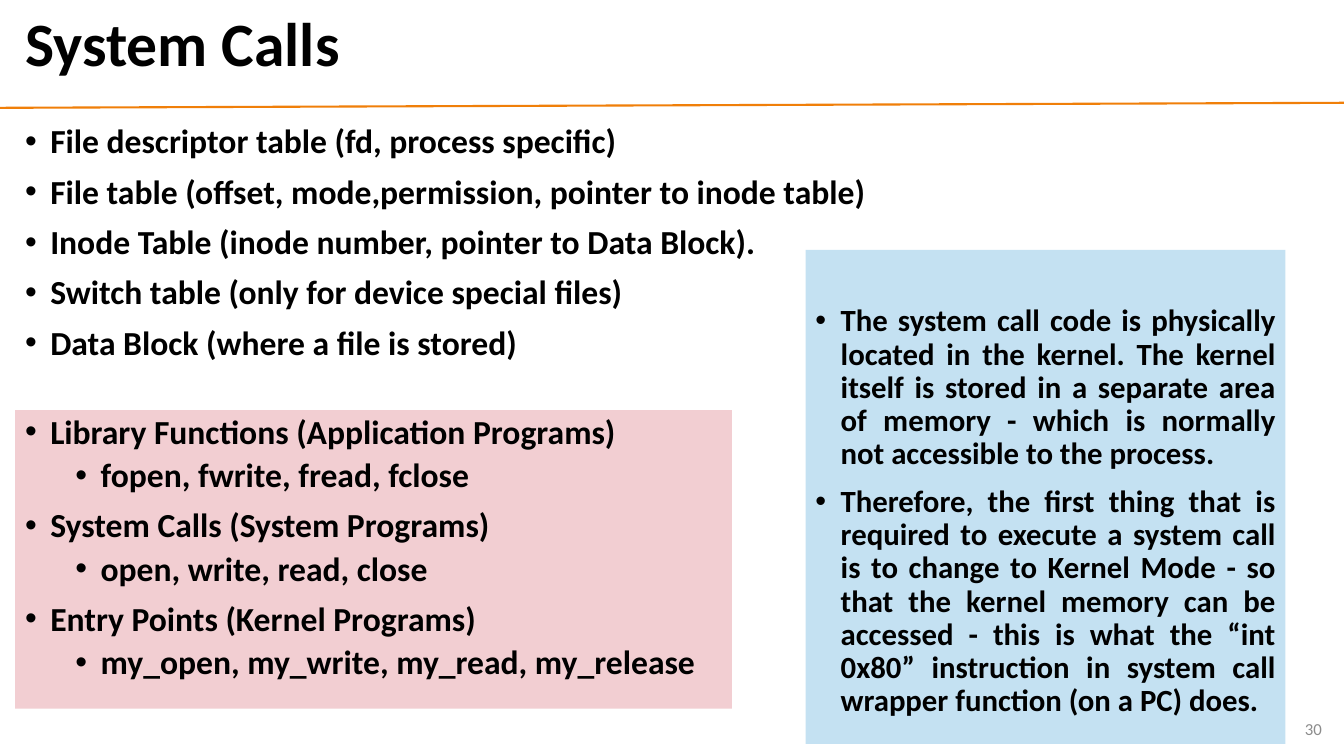
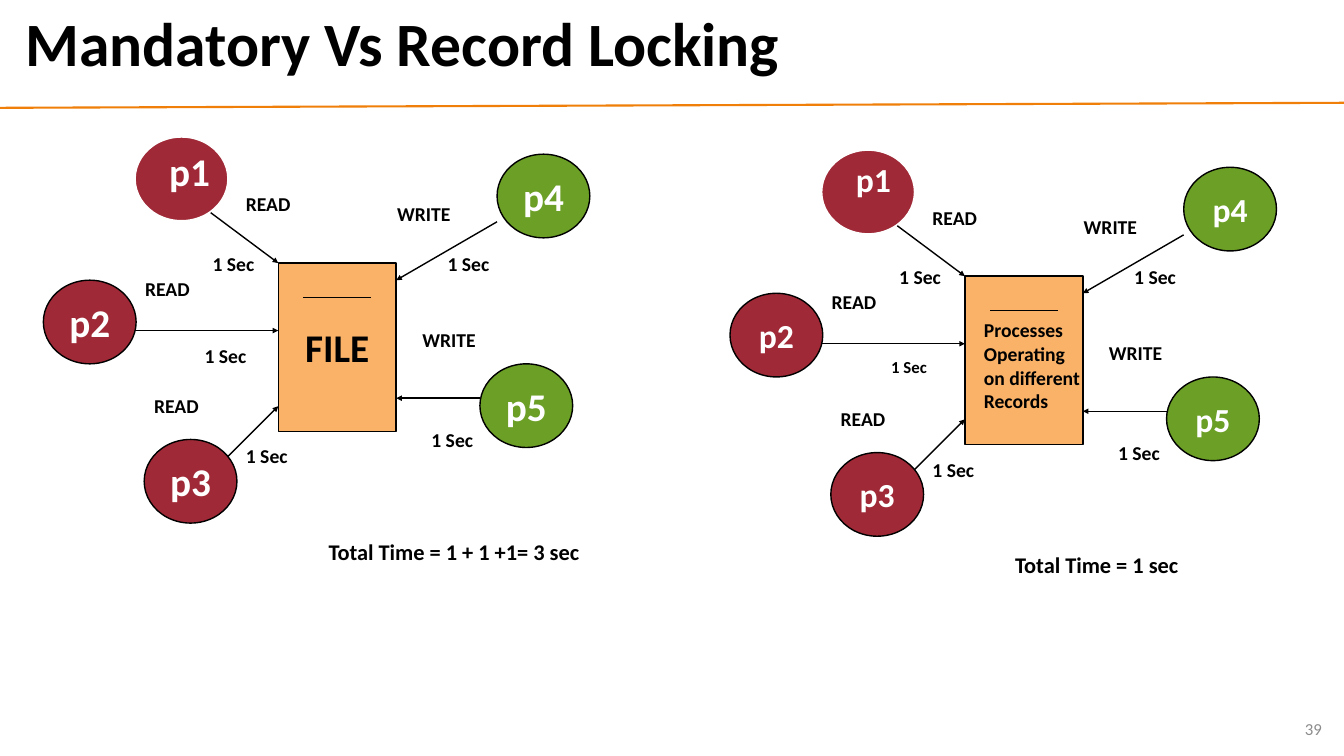
import pptx
import pptx.util
import pptx.dml.color
import pptx.enum.shapes
import pptx.enum.text
import pptx.oxml.ns
from lxml import etree

Inches, Pt = pptx.util.Inches, pptx.util.Pt
ALIGN = pptx.enum.text.PP_ALIGN
ANCHOR = pptx.enum.text.MSO_ANCHOR
SHAPE = pptx.enum.shapes.MSO_SHAPE

FONT = "Calibri"
BLACK, WHITE, GREY, ORANGE = "000000", "FFFFFF", "8C8C8C", "F07F09"
PINK, BLUE, FILE_FILL = "F2CED2", "C4E1F2", "F9B268"
READER, WRITER = "9F2936", "6B9F25"

# Bullets: (level, text)
TABLES = [
    (0, "File descriptor table (fd, process specific)"),
    (0, "File table (offset, mode,permission, pointer to inode table)"),
    (0, "Inode Table (inode number, pointer to Data Block)."),
    (0, "Switch table (only for device special files)"),
    (0, "Data Block (where a file is stored)"),
]
LAYERS = [
    (0, "Library Functions (Application Programs)"),
    (1, "fopen, fwrite, fread, fclose"),
    (0, "System Calls (System Programs)"),
    (1, "open, write, read, close"),
    (0, "Entry Points (Kernel Programs)"),
    (1, "my_open, my_write, my_read, my_release"),
]
KERNEL_MODE = [
    (0, "The system call code is physically located in the kernel. The kernel "
        "itself is stored in a separate area of memory - which is normally not "
        "accessible to the process."),
    (0, "Therefore, the first thing that is required to execute a system call is "
        "to change to Kernel Mode - so that the kernel memory can be accessed - "
        "this is what the “int 0x80” instruction in system call wrapper function "
        "(on a PC) does."),
]

# Locking diagram, placed from the slide's corner and shifted per diagram
FILE_BOX = (2.76, 2.61, 1.17, 1.67)
CIRCLE_SIZE = (0.92, 0.83)
CIRCLES = [  # text, left, top, fill, outline
    ("", 1.34, 1.36, READER, WHITE),
    ("p2", 0.43, 2.78, READER, BLACK),
    ("p3", 1.43, 4.36, READER, BLACK),
    ("p4", 4.93, 1.53, WRITER, BLACK),
    ("p5", 4.76, 3.61, WRITER, BLACK),
]
ARROWS = [
    (2.09, 2.11, 2.76, 2.61),
    (1.34, 3.28, 2.76, 3.28),
    (2.26, 4.53, 2.76, 4.03),
    (4.93, 2.2, 3.93, 2.78),
    (4.76, 3.95, 3.93, 3.95),
]
FILE_RULE = (3.01, 2.95, 3.68, 2.95)
OPERATIONS = [
    ("READ", 1.34, 2.7),
    ("WRITE", 4.09, 3.2),
    ("READ", 1.43, 3.86),
    ("READ", 2.34, 1.86),
    ("WRITE", 3.84, 1.95),
]
DELAYS = [(2.01, 2.45), (2.34, 4.36), (4.18, 4.2), (4.34, 2.45)]
P2_DELAY = (1.93, 3.36)
DIAGRAMS = [
    {"shift": (0, 0), "process_size": 28, "p2_delay_size": 14,
     "p1_box": (1.58, 1.41, 0.61, 0.57), "p2_delay_box": (0.62, 0.34),
     "file": "FILE", "records": "",
     "total": "Total Time = 1 + 1 +1= 3 sec", "total_width": 2.72},
    {"shift": (6.81, 0.13), "process_size": 24, "p2_delay_size": 12,
     "p1_box": (1.58, 1.4, 0.55, 0.5), "p2_delay_box": (0.57, 0.3),
     "file": "", "records": "Processes\nOperating\non different\nRecords",
     "total": "Total Time = 1 sec", "total_width": 1.84},
]


def color(value):
    return pptx.dml.color.RGBColor.from_string(value)


def write(shape, text, size, fill=BLACK, bold=True, align=ALIGN.LEFT,
          anchor=ANCHOR.TOP, wrap=True):
    """Fill a shape with text in one style and return its text frame."""
    frame = shape.text_frame
    frame.text = text
    frame.word_wrap = wrap
    frame.vertical_anchor = anchor
    for paragraph in frame.paragraphs:
        paragraph.alignment = align
        for run in paragraph.runs:
            run.font.name = FONT
            run.font.size = Pt(size)
            run.font.bold = bold
            run.font.color.rgb = color(fill)
    return frame


def add_text(slide, box, text, size, **style):
    shape = slide.shapes.add_textbox(*map(Inches, box))
    write(shape, text, size, **style)
    return shape


def add_filled(slide, kind, box, fill, outline=None):
    shape = slide.shapes.add_shape(kind, *map(Inches, box))
    shape.shadow.inherit = False
    shape.fill.solid()
    shape.fill.fore_color.rgb = color(fill)
    if outline:
        shape.line.color.rgb = color(outline)
        shape.line.width = Pt(1)
    else:
        shape.line.fill.background()
    return shape


def add_line(slide, ends, fill=BLACK, width=1, arrow=False):
    line = slide.shapes.add_connector(
        pptx.enum.shapes.MSO_CONNECTOR.STRAIGHT, *map(Inches, ends))
    line.line.color.rgb = color(fill)
    line.line.width = Pt(width)
    qn = pptx.oxml.ns.qn
    properties = line._element.spPr
    if arrow:
        etree.SubElement(properties.find(qn("a:ln")), qn("a:tailEnd"),
                         type="triangle", w="sm", len="sm")
    etree.SubElement(properties, qn("a:effectLst"))


def write_bullets(shape, items, size, align=ALIGN.LEFT):
    frame = write(shape, "\n".join(text for _, text in items), size, align=align)
    qn = pptx.oxml.ns.qn
    for paragraph, (level, _) in zip(frame.paragraphs, items):
        paragraph.level = level
        paragraph.line_spacing = 0.9
        paragraph.space_before = Pt(5 if level else 10)
        properties = paragraph._p.get_or_add_pPr()
        properties.set("marL", str(Inches(0.25 + 0.5 * level)))
        properties.set("indent", str(Inches(-0.25)))
        etree.SubElement(properties, qn("a:buFont"), typeface="Arial")
        etree.SubElement(properties, qn("a:buChar"), char="•")
    return frame


def add_slide(presentation, title, number):
    """Add a slide with the shared title, rule and page number."""
    slide = presentation.slides.add_slide(presentation.slide_layouts[5])
    add_line(slide, (0, 1.07, 13.33, 1.02), ORANGE, 1.5)
    heading = slide.shapes.title
    heading.left, heading.top, heading.width, heading.height = map(
        Inches, (0.15, 0.05, 12.89, 0.83))
    frame = write(heading, title, 44, anchor=ANCHOR.MIDDLE)
    frame.auto_size = pptx.enum.text.MSO_AUTO_SIZE.NONE
    frame.paragraphs[0].line_spacing = 0.9
    add_text(slide, (10.21, 7.03, 3, 0.4), str(number), 12, fill=GREY,
             bold=False, align=ALIGN.RIGHT, anchor=ANCHOR.MIDDLE)
    return slide


def add_locking_diagram(slide, diagram):
    dx, dy = diagram["shift"]
    process_size = diagram["process_size"]
    centred = {"align": ALIGN.CENTER, "anchor": ANCHOR.MIDDLE, "wrap": False}

    def place(left, top, *size):
        return (left + dx, top + dy, *size)

    def shift_ends(x1, y1, x2, y2):
        return (x1 + dx, y1 + dy, x2 + dx, y2 + dy)

    file_shape = add_filled(slide, SHAPE.RECTANGLE, place(*FILE_BOX),
                            FILE_FILL, BLACK)
    if diagram["file"]:
        write(file_shape, diagram["file"], 28, **centred)
    for text, left, top, fill, outline in CIRCLES:
        circle = add_filled(slide, SHAPE.OVAL, place(left, top, *CIRCLE_SIZE),
                            fill, outline)
        if text:
            write(circle, text, process_size, fill=WHITE, **centred)
    for ends in ARROWS:
        add_line(slide, shift_ends(*ends), arrow=True)
    add_line(slide, shift_ends(*FILE_RULE))

    add_text(slide, place(*diagram["p1_box"]), "p1", process_size,
             fill=WHITE, wrap=False)
    for text, left, top in OPERATIONS:
        add_text(slide, place(left, top, 1.17, 0.34), text, 14)
    for left, top in DELAYS:
        add_text(slide, place(left, top, 0.62, 0.34), "1 Sec", 14, wrap=False)
    add_text(slide, place(*P2_DELAY, *diagram["p2_delay_box"]), "1 Sec",
             diagram["p2_delay_size"], wrap=False)
    add_text(slide, place(3.16, 5.29, diagram["total_width"], 0.37),
             diagram["total"], 16, wrap=False)
    if diagram["records"]:
        add_text(slide, place(2.85, 2.98, 1.17, 1.04), diagram["records"], 14,
                 wrap=False)


def main():
    presentation = pptx.Presentation()
    presentation.slide_width = Inches(13.33)
    presentation.slide_height = Inches(7.5)

    slide = add_slide(presentation, "System Calls", 30)
    tables = slide.shapes.add_textbox(*map(Inches, (0.15, 1.19, 10.21, 2.75)))
    write_bullets(tables, TABLES, 24, ALIGN.JUSTIFY)
    layers = add_filled(slide, SHAPE.RECTANGLE, (0.15, 4.07, 7.11, 2.96), PINK)
    write_bullets(layers, LAYERS, 24)
    kernel = add_filled(slide, SHAPE.RECTANGLE, (7.99, 2.48, 4.76, 4.9), BLUE)
    frame = write_bullets(kernel, KERNEL_MODE, 22, ALIGN.JUSTIFY)
    frame.margin_top = Inches(0.55)

    slide = add_slide(presentation, "Mandatory Vs Record Locking", 39)
    for diagram in DIAGRAMS:
        add_locking_diagram(slide, diagram)

    presentation.save("out.pptx")


if __name__ == "__main__":
    main()
